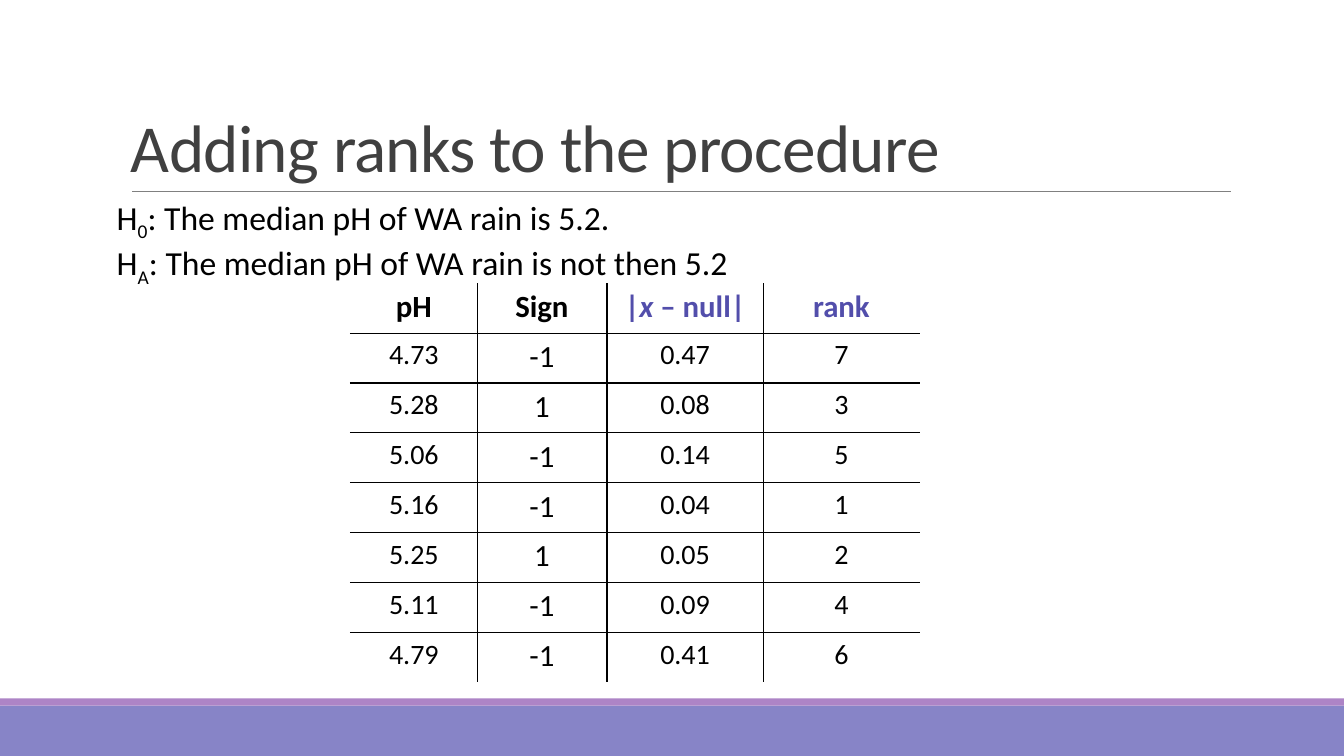
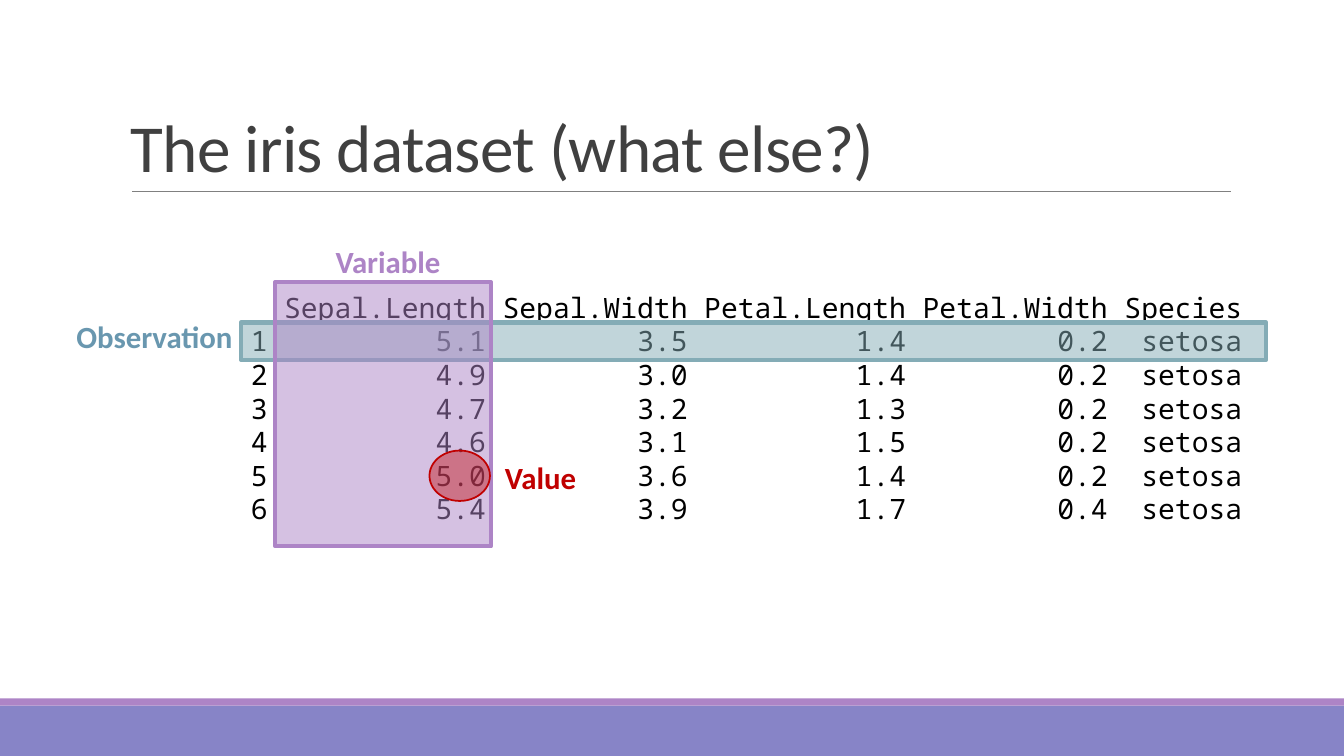
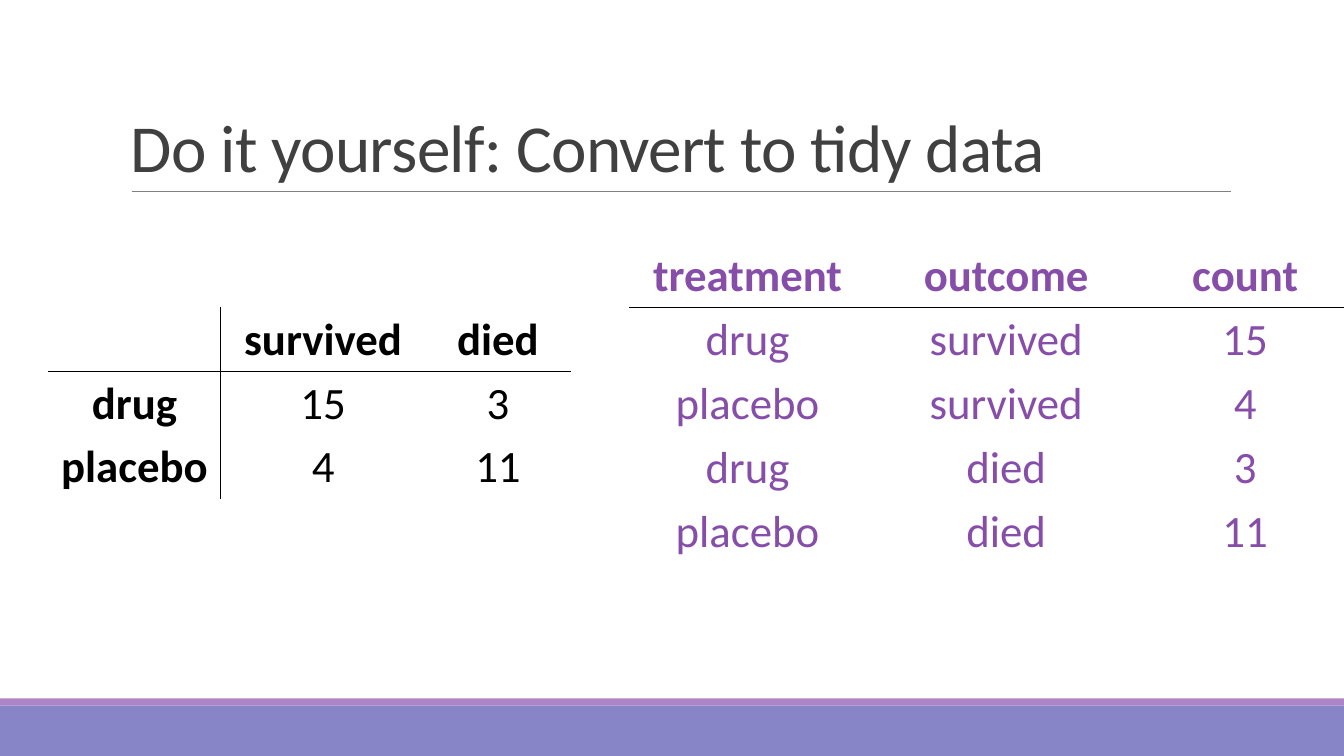
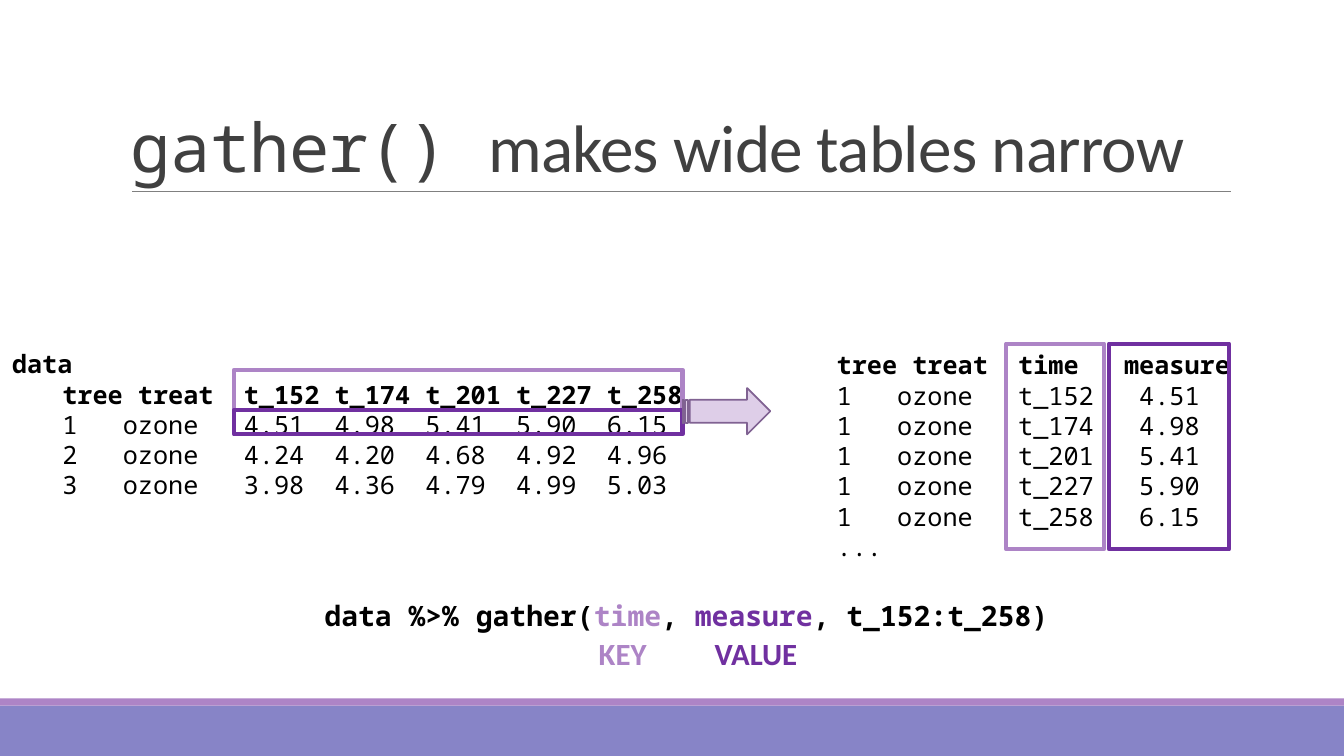
from lxml.etree import SubElement
from pptx import Presentation
from pptx.dml.color import RGBColor
from pptx.enum.shapes import MSO_CONNECTOR, MSO_SHAPE as SHAPE
from pptx.enum.text import MSO_ANCHOR as ANCHOR, PP_ALIGN as ALIGN
from pptx.oxml.ns import qn
from pptx.util import Inches, Pt

BLACK = RGBColor(0x00, 0x00, 0x00)
CHARCOAL = RGBColor(0x40, 0x40, 0x40)
GREY = RGBColor(0x80, 0x80, 0x80)
PERIWINKLE = RGBColor(0x87, 0x84, 0xC7)
INDIGO = RGBColor(0x52, 0x4E, 0xAB)
LILAC = RGBColor(0xAD, 0x84, 0xC6)
PALE_LILAC = RGBColor(0xDE, 0xCE, 0xE8)
PLUM = RGBColor(0x80, 0x62, 0x92)
ORCHID = RGBColor(0x87, 0x4E, 0xA9)
PURPLE = RGBColor(0x70, 0x30, 0xA0)
TEAL = RGBColor(0x84, 0xAC, 0xB6)
STEEL = RGBColor(0x69, 0x97, 0xAF)
RED = RGBColor(0xC0, 0x00, 0x00)

SANS = "Calibri"
MONO = "Noto Sans Mono"
MONO_RATIO = 0.6
SUBSCRIPT = {"baseline": "-25000"}


def write(paragraph, pieces, size, color=BLACK, font=SANS, bold=False):
    """Write pieces, each a string or a (string, overrides) pair, as runs."""
    for piece in [pieces] if isinstance(pieces, str) else pieces:
        text, own = (piece, {}) if isinstance(piece, str) else piece
        run = paragraph.add_run()
        run.text = text
        run.font.size = Pt(size)
        run.font.name = own.get("font", font)
        run.font.bold = bold
        run.font.italic = own.get("italic", False)
        run.font.color.rgb = own.get("color", color)
        for key in ("baseline", "spc"):
            if key in own:
                run.font._element.set(key, own[key])


def add_text(slide, box, lines, size, anchor=ANCHOR.TOP, **style):
    """Add a text box with one paragraph per line and return its paragraphs."""
    frame = slide.shapes.add_textbox(*map(Inches, box)).text_frame
    frame.word_wrap = True
    frame.vertical_anchor = anchor
    for index, pieces in enumerate(lines):
        paragraph = frame.add_paragraph() if index else frame.paragraphs[0]
        write(paragraph, pieces, size, **style)
    return frame.paragraphs


def add_shape(slide, kind, box, fill=None, line=None, width=3, alpha=None):
    """Add a preset shape with optional fill, outline and fill opacity."""
    shape = slide.shapes.add_shape(kind, *map(Inches, box))
    shape.shadow.inherit = False
    if fill is None:
        shape.fill.background()
    else:
        shape.fill.solid()
        shape.fill.fore_color.rgb = fill
    if alpha is not None:
        tint = shape.fill._xPr.find(qn("a:solidFill"))[0]
        SubElement(tint, qn("a:alpha"), val=str(alpha * 1000))
    if line is None:
        shape.line.fill.background()
    else:
        shape.line.color.rgb = line
        shape.line.width = Pt(width)


def add_slide(deck, title):
    """Add a slide with the shared bands, rule and title."""
    slide = deck.slides.add_slide(deck.slide_layouts[6])
    add_shape(slide, SHAPE.RECTANGLE, (0, 7, 13.33, 0.5), PERIWINKLE)
    add_shape(slide, SHAPE.RECTANGLE, (0, 6.93, 13.33, 0.07), LILAC)
    ends = map(Inches, (1.31, 1.9, 12.21, 1.9))
    rule = slide.shapes.add_connector(MSO_CONNECTOR.STRAIGHT, *ends)
    rule.line.color.rgb = GREY
    rule.line.width = Pt(0.5)
    SubElement(rule._element.spPr, qn("a:effectLst"))
    pieces = [(text, {"font": font, "spc": "-50"}) for text, font in title]
    heading = add_text(slide, (1.2, 0.31, 11, 1.59), [pieces], 48,
                       ANCHOR.BOTTOM, color=CHARCOAL)
    heading[0].line_spacing = 0.85
    return slide


def rule_cell(cell, ruled_sides):
    """Draw black borders on the given sides of a cell and clear the rest."""
    properties = cell._tc.get_or_add_tcPr()
    for side in "LRTB":
        border = SubElement(properties, qn(f"a:ln{side}"), w=str(Pt(1)))
        if side in ruled_sides:
            ink = SubElement(border, qn("a:solidFill"))
            SubElement(ink, qn("a:srgbClr"), val=str(BLACK))
        else:
            SubElement(border, qn("a:noFill"))
    cell.fill.background()


def add_grid(slide, left, top, widths, row_height, rows, rows_ruled,
             columns_ruled, style):
    """Add a table ruled below rows_ruled and to the right of columns_ruled.

    Column -1 stands for the left edge of the table.
    """
    box = (left, top, sum(widths), row_height * len(rows))
    table = slide.shapes.add_table(len(rows), len(widths),
                                   *map(Inches, box)).table
    table.first_row = table.horz_banding = False
    for column, width in zip(table.columns, widths):
        column.width = Inches(width)
    for r, row in enumerate(rows):
        table.rows[r].height = Inches(row_height)
        for c, pieces in enumerate(row):
            cell = table.cell(r, c)
            sides = {"L": c - 1 in columns_ruled, "R": c in columns_ruled,
                     "T": r - 1 in rows_ruled, "B": r in rows_ruled}
            rule_cell(cell, [side for side in sides if sides[side]])
            paragraph = cell.text_frame.paragraphs[0]
            paragraph.alignment = ALIGN.CENTER
            if pieces:
                write(paragraph, pieces, **style(r, c))


def set_tabs(paragraph, stops, alignment, pitch, indent):
    """Set tab stops at character columns counted from the indent."""
    tabs = SubElement(paragraph._p.get_or_add_pPr(), qn("a:tabLst"))
    for column in stops:
        SubElement(tabs, qn("a:tab"), algn=alignment,
                   pos=str(Inches(indent) + Pt(column * pitch)))


def add_printout(slide, box, header, rows, size, stops, alignment="l",
                 header_stops=None, caption=None, indent=0, bold=False):
    """Add monospaced rows aligned at character columns, below a header."""
    lead = "\t" if indent else ""
    lines = [header] + ["\t".join(row.split()) for row in rows]
    lines = ([caption] if caption else []) + [lead + line for line in lines]
    paragraphs = add_text(slide, box, lines, size, font=MONO)
    head = len(lines) - len(rows)
    for index, paragraph in enumerate(paragraphs):
        in_head = index < head
        paragraph.runs[0].font.bold = bold and in_head
        columns = header_stops if in_head and header_stops else stops
        set_tabs(paragraph, ([0] if indent else []) + columns, alignment,
                 size * MONO_RATIO, indent)


def add_label(slide, box, text, color):
    """Add a bold coloured label."""
    add_text(slide, box, [text], 22, color=color, bold=True)


def build_ranks(deck):
    """Build the slide on the signed rank procedure."""
    slide = add_slide(deck, [("Adding ranks to the procedure", SANS)])
    signs = [
        ["pH", "Sign"],
        ["4.73", "-1"],
        ["5.28", "1"],
        ["5.06", "-1"],
        ["5.16", "-1"],
        ["5.25", "1"],
        ["5.11", "-1"],
        ["4.79", "-1"],
    ]
    difference = ["|", ("x ", {"italic": True}), "– null|"]
    differences = [difference, "0.47", "0.08", "0.14", "0.04", "0.05", "0.09",
                   "0.41"]
    ranks = ["rank", "7", "3", "5", "1", "2", "4", "6"]
    hypotheses = [
        ["H", ("0", SUBSCRIPT), ": The median pH of WA rain is 5.2."],
        ["H", ("A", SUBSCRIPT), ": The median pH of WA rain is not then 5.2"],
    ]
    row_height = 3.96 / len(signs)
    ruled = range(len(signs) - 1)

    def sign_style(r, c):
        """Make the header and the signs larger than the measurements."""
        return {"size": 22 if r == 0 or c == 1 else 20, "bold": r == 0}

    def added_style(r, c):
        """Make the header of an added column indigo."""
        return {"size": 20 if r else 22, "bold": r == 0,
                "color": BLACK if r else INDIGO}

    add_grid(slide, 3.47, 2.81, (1.27, 1.27), row_height, signs, ruled, [0],
             sign_style)
    add_text(slide, (1.06, 1.9, 6.67, 0.91), hypotheses, 24)
    for left, column in ((6.02, differences), (7.57, ranks)):
        add_grid(slide, left, 2.81, (1.55,), row_height,
                 [[entry] for entry in column], ruled, [-1], added_style)


def build_iris(deck):
    """Build the slide that names the parts of a dataset."""
    slide = add_slide(deck, [("The iris dataset (what else?)", SANS)])
    rows = [
        "1 5.1 3.5 1.4 0.2 setosa",
        "2 4.9 3.0 1.4 0.2 setosa",
        "3 4.7 3.2 1.3 0.2 setosa",
        "4 4.6 3.1 1.5 0.2 setosa",
        "5 5.0 3.6 1.4 0.2 setosa",
        "6 5.4 3.9 1.7 0.4 setosa",
    ]
    header = "\tSepal.Length\tSepal.Width\tPetal.Length\tPetal.Width\tSpecies"
    add_printout(slide, (2.39, 2.83, 10.94, 2.79), header, rows, 20,
                 [14, 26, 39, 51, 59], "r")
    add_shape(slide, SHAPE.RECTANGLE, (2.39, 3.2, 10.17, 0.37), TEAL, TEAL,
              alpha=50)
    add_shape(slide, SHAPE.RECTANGLE, (2.73, 2.8, 2.14, 2.62), LILAC, LILAC,
              alpha=50)
    add_shape(slide, SHAPE.OVAL, (4.26, 4.47, 0.6, 0.5), RED, RED, 1.25, 40)
    add_label(slide, (0.66, 3.1, 1.76, 0.47), "Observation", STEEL)
    add_label(slide, (3.23, 2.36, 1.96, 0.47), "Variable", LILAC)
    add_label(slide, (4.91, 4.5, 0.97, 0.47), "Value", RED)


def build_tidy(deck):
    """Build the exercise slide with the wide and the tidy table."""
    slide = add_slide(deck, [("Do it yourself: Convert to tidy data", SANS)])
    wide = [
        ["", "survived", "died"],
        ["drug", "15", "3"],
        ["placebo", "4", "11"],
    ]
    tidy = [
        ["treatment", "outcome", "count"],
        ["drug", "survived", "15"],
        ["placebo", "survived", "4"],
        ["drug", "died", "3"],
        ["placebo", "died", "11"],
    ]
    add_grid(slide, 0.48, 3.05, (1.71, 2.03, 1.44), 0.63, wide, [0], [0],
             lambda r, c: {"size": 32, "bold": r == 0 or c == 0})
    add_grid(slide, 6.24, 2.42, (2.35, 2.78, 1.96), 0.63, tidy, [0], [],
             lambda r, c: {"size": 32, "bold": r == 0, "color": ORCHID})


def build_gather(deck):
    """Build the slide on reshaping a wide table into a narrow one."""
    slide = add_slide(deck, [("gather() ", MONO),
                             ("makes wide tables narrow", SANS)])
    times = ["t_152", "t_174", "t_201", "t_227", "t_258"]
    measures = ["4.51 4.98 5.41 5.90 6.15",
                "4.24 4.20 4.68 4.92 4.96",
                "3.98 4.36 4.79 4.99 5.03"]
    wide = [f"{tree} ozone {row}" for tree, row in enumerate(measures, 1)]
    narrow = [f"1 ozone {time} {measure}"
              for time, measure in zip(times, measures[0].split())]

    add_printout(slide, (0.02, 3.41, 6.97, 1.62),
                 "\t".join(["tree treat"] + times), wide, 18,
                 [4, 12, 18, 24, 30, 36], caption="data", indent=0.5,
                 bold=True)
    add_shape(slide, SHAPE.RECTANGLE, (2.32, 3.67, 4.45, 0.4), line=LILAC)
    add_printout(slide, (7.7, 3.42, 5.63, 2.52), "tree treat\ttime\tmeasure",
                 narrow + ["..."], 18, [4, 12, 20], header_stops=[12, 19],
                 indent=0.5, bold=True)
    add_shape(slide, SHAPE.RECTANGLE, (9.98, 3.41, 0.97, 2.04), line=LILAC)
    add_shape(slide, SHAPE.RECTANGLE, (11, 3.41, 1.19, 2.04), line=PURPLE)
    add_shape(slide, SHAPE.RECTANGLE, (2.32, 4.07, 4.45, 0.24), line=PURPLE)
    call = ["data %>% gather(", ("time", {"color": LILAC}), ", ",
            ("measure", {"color": PURPLE}), ", t_152:t_258)"]
    add_text(slide, (3.12, 5.89, 7.73, 0.45), [call], 20, font=MONO, bold=True)
    add_label(slide, (5.84, 6.25, 0.96, 0.47), "KEY", LILAC)
    add_label(slide, (6.99, 6.25, 1.18, 0.47), "VALUE", PURPLE)
    add_shape(slide, SHAPE.STRIPED_RIGHT_ARROW, (6.77, 3.85, 0.87, 0.46),
              PALE_LILAC, PLUM, 1.25)


def main():
    """Build the deck and save it."""
    deck = Presentation()
    deck.slide_width = Inches(13.33)
    deck.slide_height = Inches(7.5)
    for build in (build_ranks, build_iris, build_tidy, build_gather):
        build(deck)
    deck.save("out.pptx")


if __name__ == "__main__":
    main()
